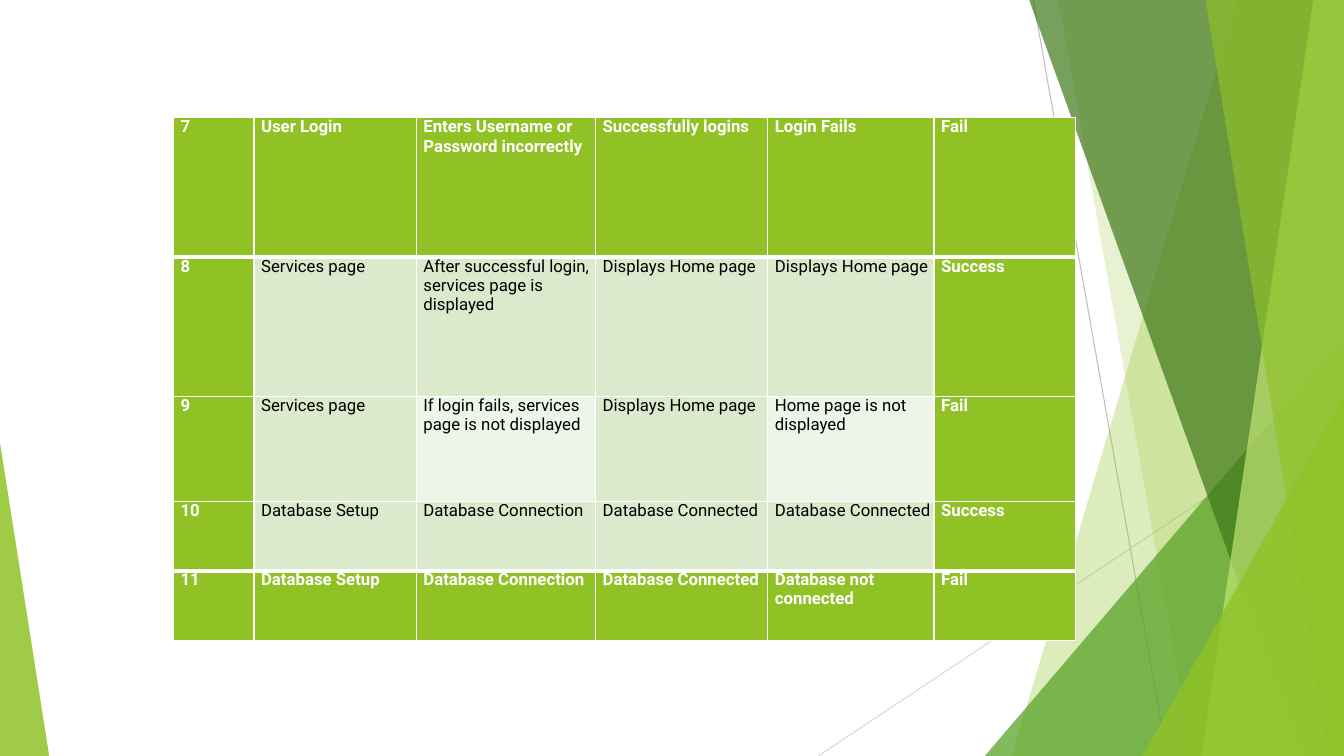
"""Build a slide with a test-case table over a green faceted backdrop."""
from lxml import etree
from pptx import Presentation
from pptx import util as u
from pptx.dml.color import RGBColor
from pptx.enum import shapes
from pptx.oxml import ns

WHITE = RGBColor(0xFF, 0xFF, 0xFF)
BLACK = RGBColor(0x00, 0x00, 0x00)
GREEN = RGBColor(0x90, 0xC2, 0x26)
MID_GREEN = RGBColor(0x54, 0xA0, 0x21)
DARK_GREEN = RGBColor(0x3F, 0x78, 0x19)
LIME = RGBColor(0xC0, 0xE4, 0x74)
TINT = RGBColor(0xDB, 0xE9, 0xCD)
PALE = RGBColor(0xEE, 0xF4, 0xE8)
GREY = RGBColor(0xBF, 0xBF, 0xBF)
LIGHT_GREY = RGBColor(0xD9, 0xD9, 0xD9)

WIDTH, HEIGHT, BLEED = 33.87, 19.05, -0.02

TESTS = [
    ("7", "User Login", "Enters Username or Password incorrectly",
     "Successfully logins", "Login Fails", "Fail"),
    ("8", "Services page", "After successful login, services page is\ndisplayed",
     "Displays Home page", "Displays Home page", "Success"),
    ("9", "Services page", "If login fails, services page is not displayed",
     "Displays Home page", "Home page is not displayed", "Fail"),
    ("10", "Database Setup", "Database Connection",
     "Database Connected", "Database Connected", "Success"),
    ("11", "Database Setup", "Database Connection",
     "Database Connected", "Database not connected", "Fail"),
]
TABLE_LEFT, TABLE_TOP = 4.37, 2.97
COLS = [2.03, 4.09, 4.52, 4.34, 4.19, 3.56]
ROWS = [3.51, 3.51, 2.64, 1.75, 1.75]
PALE_CELLS = {(2, 2), (2, 4)}
THICK_RULES = {1, 4}

LINES = [
    ((26.04, 0), (29.41, HEIGHT), GREY),
    ((WIDTH, 10.24), (20.62, HEIGHT), LIGHT_GREY),
]
FACETS = [
    ("band", (31.19, 25.5), GREEN, 30),
    ("band", (26.67, 30.05), GREEN, 20),
    ("triangle", (24.82, 8.46, WIDTH, 1), MID_GREEN, 72),
    ("band", (25.93, 32.79), DARK_GREEN, 70),
    ("band", (33.1, 30.28), LIME, 70),
    ("band", (30.38, 33.48), GREEN, 65),
    ("triangle", (28.8, 9.98, WIDTH, 1), GREEN, 80),
    ("triangle", (0, 11.15, 1.24, 0), GREEN, 85),
]


def add_line(s, start, end, color):
    ends = [u.Cm(v) for v in start + end]
    line = s.shapes.add_connector(shapes.MSO_CONNECTOR.STRAIGHT, *ends)
    line.line.color.rgb = color
    line.line.width = u.Pt(0.75)
    etree.SubElement(line._element.spPr, ns.qn("a:effectLst"))


def add_band(s, top_x, bottom_x):
    corners = [(top_x, BLEED), (WIDTH, BLEED), (WIDTH, HEIGHT), (bottom_x, HEIGHT)]
    pts = [(u.Cm(x), u.Cm(y)) for x, y in corners]
    builder = s.shapes.build_freeform(*pts[0], scale=1.0)
    builder.add_line_segments(pts[1:], close=True)
    return builder.convert_to_shape()


def add_triangle(s, left, top, right, apex):
    box = [u.Cm(v) for v in (left, top, right - left, HEIGHT - top)]
    sp = s.shapes.add_shape(shapes.MSO_SHAPE.ISOSCELES_TRIANGLE, *box)
    sp.adjustments[0] = apex
    return sp


def paint(sp, color, opacity):
    sp.shadow.inherit = False
    sp.line.fill.background()
    sp.fill.solid()
    sp.fill.fore_color.rgb = color
    clr = sp._element.spPr.find(".//" + ns.qn("a:srgbClr"))
    etree.SubElement(clr, ns.qn("a:alpha"), val=str(opacity * 1000))


def add_borders(cell, row):
    tc_pr = cell._tc.get_or_add_tcPr()
    rules = {"L": None, "R": None, "T": row, "B": row + 1}
    for i, (side, rule) in enumerate(rules.items()):
        width = u.Pt(3 if rule in THICK_RULES else 1)
        ln = etree.Element(ns.qn("a:ln" + side), w=str(int(width)))
        fill = etree.SubElement(ln, ns.qn("a:solidFill"))
        etree.SubElement(fill, ns.qn("a:srgbClr"), val=str(WHITE))
        tc_pr.insert(i, ln)


def fill_cell(cell, row, col, label):
    strong = row in (0, len(ROWS) - 1) or col in (0, len(COLS) - 1)
    cell.fill.solid()
    body = PALE if (row, col) in PALE_CELLS else TINT
    cell.fill.fore_color.rgb = GREEN if strong else body
    for side in ("left", "right", "top", "bottom"):
        setattr(cell, "margin_" + side, 0)
    cell.text = label
    font = {"name": "Roboto", "size": u.Pt(12), "bold": strong}
    for p in cell.text_frame.paragraphs:
        p.line_spacing = u.Pt(13.7)
        p._p.get_or_add_pPr().set("marL", str(int(u.Cm(0.18))))
        for r in p.runs:
            for name, value in font.items():
                setattr(r.font, name, value)
            r.font.color.rgb = WHITE if strong else BLACK
    add_borders(cell, row)


def add_tests(s):
    box = [u.Cm(v) for v in (TABLE_LEFT, TABLE_TOP, sum(COLS), sum(ROWS))]
    table = s.shapes.add_table(len(ROWS), len(COLS), *box).table
    table.first_row = table.horz_banding = False
    for column, width in zip(table.columns, COLS):
        column.width = u.Cm(width)
    for i, (height, labels) in enumerate(zip(ROWS, TESTS)):
        table.rows[i].height = u.Cm(height)
        for j, label in enumerate(labels):
            fill_cell(table.cell(i, j), i, j, label)


def main():
    prs = Presentation()
    prs.slide_width, prs.slide_height = u.Cm(WIDTH), u.Cm(HEIGHT)
    s = prs.slides.add_slide(prs.slide_layouts[6])
    for line in LINES:
        add_line(s, *line)
    makers = {"band": add_band, "triangle": add_triangle}
    for kind, geometry, color, opacity in FACETS:
        paint(makers[kind](s, *geometry), color, opacity)
    add_tests(s)
    prs.save("out.pptx")


if __name__ == "__main__":
    main()
